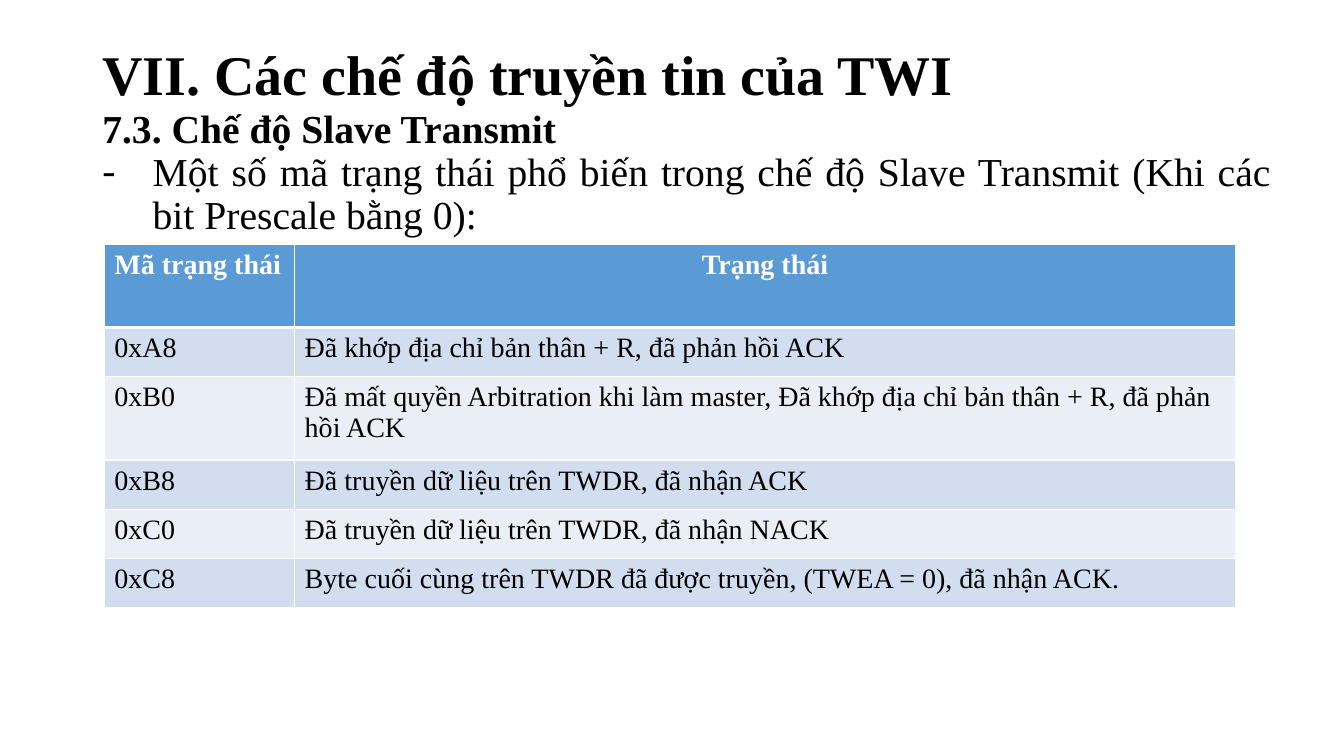
from lxml import etree
from pptx import Presentation
from pptx.dml.color import RGBColor
from pptx.enum.text import MSO_ANCHOR, PP_ALIGN
from pptx.oxml.ns import qn
from pptx.util import Pt

LEFT, CENTER, JUST = PP_ALIGN.LEFT, PP_ALIGN.CENTER, PP_ALIGN.JUSTIFY
MIDDLE = MSO_ANCHOR.MIDDLE
BLACK, WHITE, BLUE = "000000", "FFFFFF", "5B9BD5"
BANDS = ("D2DEEF", "EAEFF7")


def color(code):
    return RGBColor.from_string(code)


class Deck:
    """Holds the style and the current slide."""
    font = "Times New Roman"

    def __init__(self, slide):
        self.slide = slide

    def run(self, para, text, size, bold=False, ink=BLACK):
        run = para.add_run()
        run.text = text
        font = run.font
        font.name, font.size, font.bold = self.font, Pt(size), bold
        font.color.rgb = color(ink)

    def bullet(self, para, mark, indent):
        props = para._p.get_or_add_pPr()
        props.set("marL", str(Pt(indent)))
        props.set("indent", str(-Pt(indent)))
        etree.SubElement(props, qn("a:buFont"), typeface=self.font)
        etree.SubElement(props, qn("a:buChar"), char=mark)

    def text(self, box, lines, size, align=LEFT, foot=3.6):
        """Each line is (text, bold, bullet mark or None)."""
        shape = self.slide.shapes.add_textbox(*map(Pt, box))
        frame = shape.text_frame
        frame.word_wrap = True
        frame.vertical_anchor = MIDDLE
        frame.margin_bottom = Pt(foot)
        for i, (words, bold, mark) in enumerate(lines):
            para = frame.add_paragraph() if i else frame.paragraphs[0]
            para.alignment = align
            para.line_spacing = 0.9
            if mark:
                self.bullet(para, mark, 36)
            self.run(para, words, size, bold)

    def border(self, cell, widths):
        props = cell._tc.get_or_add_tcPr()
        for i, (side, width) in enumerate(widths.items()):
            line = etree.Element(qn("a:ln" + side), w=str(Pt(width)))
            fill = etree.SubElement(line, qn("a:solidFill"))
            etree.SubElement(fill, qn("a:srgbClr"), val=WHITE)
            props.insert(i, line)

    def table(self, left, top, cols, heights, rows, size):
        frame = self.slide.shapes.add_table(
            len(rows), len(cols), Pt(left), Pt(top),
            Pt(sum(cols)), Pt(sum(heights)))
        grid = frame.table
        for col, width in zip(grid.columns, cols):
            col.width = Pt(width)
        for r, (row, height) in enumerate(zip(rows, heights)):
            grid.rows[r].height = Pt(height)
            head = r == 0
            for c, words in enumerate(row):
                cell = grid.cell(r, c)
                cell.fill.solid()
                cell.fill.fore_color.rgb = color(BLUE if head else BANDS[(r - 1) % 2])
                # A thick rule parts the header from the body
                self.border(cell, {"L": 1, "R": 1, "T": 3 if r == 1 else 1,
                                   "B": 3 if head else 1})
                para = cell.text_frame.paragraphs[0]
                para.alignment = CENTER if head and c else LEFT
                self.run(para, words, size, head, WHITE if head else BLACK)


def main():
    prs = Presentation()
    prs.slide_width, prs.slide_height = Pt(960), Pt(540)
    deck = Deck(prs.slides.add_slide(prs.slide_layouts[6]))

    # Title
    deck.text((66, 29, 850, 52.5),
              [("VII. Các chế độ truyền tin của TWI", True, None)], 40)

    # Section heading and lead-in; the deeper foot lifts the text
    deck.text((66, 85, 850, 108.5), [
        ("7.3. Chế độ Slave Transmit", True, None),
        ("Một số mã trạng thái phổ biến trong chế độ Slave Transmit "
         "(Khi các bit Prescale bằng 0):", False, "-"),
    ], 28.3, JUST, foot=34.3)

    # Status codes
    rows = [
        ("Mã trạng thái", "Trạng thái"),
        ("0xA8", "Đã khớp địa chỉ bản thân + R, đã phản hồi ACK"),
        ("0xB0", "Đã mất quyền Arbitration khi làm master, "
                 "Đã khớp địa chỉ bản thân + R, đã phản hồi ACK"),
        ("0xB8", "Đã truyền dữ liệu trên TWDR, đã nhận ACK"),
        ("0xC0", "Đã truyền dữ liệu trên TWDR, đã nhận NACK"),
        ("0xC8", "Byte cuối cùng trên TWDR đã được truyền, "
                 "(TWEA = 0), đã nhận ACK."),
    ]
    tall, low = 59.5, 35.1
    deck.table(74.5, 174.5, (136, 672), (tall, low, tall, low, low, low), rows, 20)

    prs.save("out.pptx")


if __name__ == "__main__":
    main()
